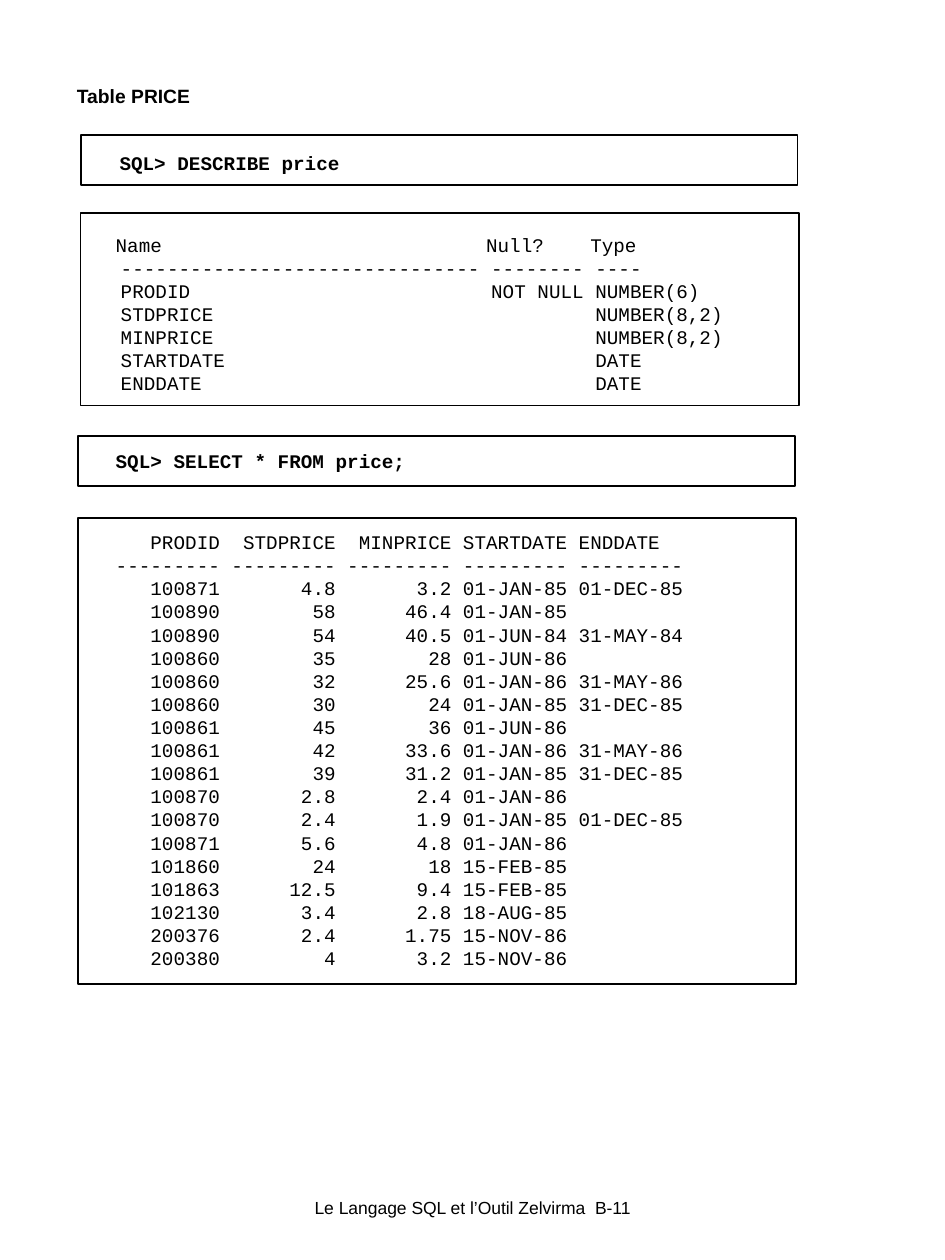
from pptx import Presentation
from pptx.dml.color import RGBColor
from pptx.enum import shapes, text
from pptx.util import Inches, Pt

BLACK = RGBColor(0, 0, 0)
CODE_FONT = "Courier New"
TEXT_FONT = "Arial"

DESCRIPTION = [
    ("Name", "Null?", "Type"),
    ("-" * 31, "-" * 8, "-" * 4),
    ("PRODID", "NOT NULL", "NUMBER(6)"),
    ("STDPRICE", "", "NUMBER(8,2)"),
    ("MINPRICE", "", "NUMBER(8,2)"),
    ("STARTDATE", "", "DATE"),
    ("ENDDATE", "", "DATE"),
]
PRICES = [
    ("PRODID", "STDPRICE", "MINPRICE", "STARTDATE", "ENDDATE"),
    ("-" * 9,) * 5,
    ("100871", "4.8", "3.2", "01-JAN-85", "01-DEC-85"),
    ("100890", "58", "46.4", "01-JAN-85", ""),
    ("100890", "54", "40.5", "01-JUN-84", "31-MAY-84"),
    ("100860", "35", "28", "01-JUN-86", ""),
    ("100860", "32", "25.6", "01-JAN-86", "31-MAY-86"),
    ("100860", "30", "24", "01-JAN-85", "31-DEC-85"),
    ("100861", "45", "36", "01-JUN-86", ""),
    ("100861", "42", "33.6", "01-JAN-86", "31-MAY-86"),
    ("100861", "39", "31.2", "01-JAN-85", "31-DEC-85"),
    ("100870", "2.8", "2.4", "01-JAN-86", ""),
    ("100870", "2.4", "1.9", "01-JAN-85", "01-DEC-85"),
    ("100871", "5.6", "4.8", "01-JAN-86", ""),
    ("101860", "24", "18", "15-FEB-85", ""),
    ("101863", "12.5", "9.4", "15-FEB-85", ""),
    ("102130", "3.4", "2.8", "18-AUG-85", ""),
    ("200376", "2.4", "1.75", "15-NOV-86", ""),
    ("200380", "4", "3.2", "15-NOV-86", ""),
]


def style(para, font, size, bold=False):
    for span in para.runs:
        span.font.name, span.font.size, span.font.bold = font, Pt(size), bold
        span.font.color.rgb = BLACK


def add_frame(page, left, top, width, height):
    frame = page.shapes.add_shape(
        shapes.MSO_SHAPE.RECTANGLE, *map(Inches, (left, top, width, height)))
    frame.shadow.inherit = False
    frame.fill.background()
    frame.line.color.rgb = BLACK
    frame.line.width = Pt(1)


def add_lines(page, box, lines, bold=False, wrap=True):
    """Fixed-width lines; returns their paragraphs."""
    frame = page.shapes.add_textbox(*map(Inches, box)).text_frame
    frame.word_wrap = wrap
    frame.text = "\n".join(lines)
    for para in frame.paragraphs:
        style(para, CODE_FONT, 11, bold)
    return frame.paragraphs


def set_margin(para, margin):
    para._p.get_or_add_pPr().set("marL", str(Inches(margin)))


def add_title(page, left, top, width, height):
    title = page.shapes.title
    title.left, title.top, title.width, title.height = map(
        Inches, (left, top, width, height))
    frame = title.text_frame
    frame.text = "Table PRICE"
    frame.vertical_anchor = text.MSO_ANCHOR.TOP
    frame.auto_size = text.MSO_AUTO_SIZE.NONE
    frame.margin_top = frame.margin_bottom = Inches(0.04)
    frame.margin_left = frame.margin_right = Inches(0.09)
    para = frame.paragraphs[0]
    para.alignment = text.PP_ALIGN.LEFT
    para.line_spacing = 1.1
    para.space_before = Pt(2.8)
    style(para, TEXT_FONT, 11, True)


def add_describe(page, left, top):
    # Command
    add_frame(page, left, top, 5.69, 0.4)
    command = add_lines(page, (left - 0.01, top + 0.08, 4.85, 0.42),
                        ["SQL> DESCRIBE price"], bold=True)[0]
    command.space_before = Pt(4.1)
    set_margin(command, 0.22)
    # Column description
    add_frame(page, left, top + 0.62, 5.7, 1.53)
    lines = [f"{name:<31} {null:<8} {kind}" for name, null, kind in DESCRIPTION]
    paras = add_lines(page, (left, top + 0.73, 5.66, 1.38), lines)
    for row, para in enumerate(paras):
        set_margin(para, 0.22 if row else 0.18)


def add_select(page, left, top):
    # Command
    add_frame(page, left, top, 5.69, 0.4)
    add_lines(page, (left + 0.2, top + 0.06, 2.5, 0.28),
              ["SQL> SELECT * FROM price;"], bold=True, wrap=False)
    # Rows: numbers right-aligned, dates left-aligned
    add_frame(page, left, top + 0.65, 5.7, 3.7)
    lines = [f"{product:>9} {standard:>9} {minimum:>9} {start:<9} {end}".rstrip()
             for product, standard, minimum, start, end in PRICES]
    add_lines(page, (left + 0.2, top + 0.7, 4.71, 3.59), lines, wrap=False)


def add_footer(page, left, top, width, height):
    frame = page.shapes.add_textbox(
        *map(Inches, (left, top, width, height))).text_frame
    frame.word_wrap = True
    frame.margin_left = frame.margin_right = 0
    frame.margin_top = frame.margin_bottom = 0
    frame.text = "Le Langage SQL et l’Outil Zelvirma  B-11"
    para = frame.paragraphs[0]
    para.alignment = text.PP_ALIGN.CENTER
    para.space_before = Pt(6.2)
    style(para, TEXT_FONT, 10)


def main():
    deck = Presentation()
    deck.slide_width, deck.slide_height = Inches(7.5), Inches(10)
    page = deck.slides.add_slide(deck.slide_layouts[5])
    add_footer(page, 0.85, 9.5, 5.8, 0.17)
    add_title(page, 0.52, 0.61, 5.84, 8.48)
    add_describe(page, 0.64, 1.07)
    add_select(page, 0.62, 3.46)
    deck.save("out.pptx")


if __name__ == "__main__":
    main()
